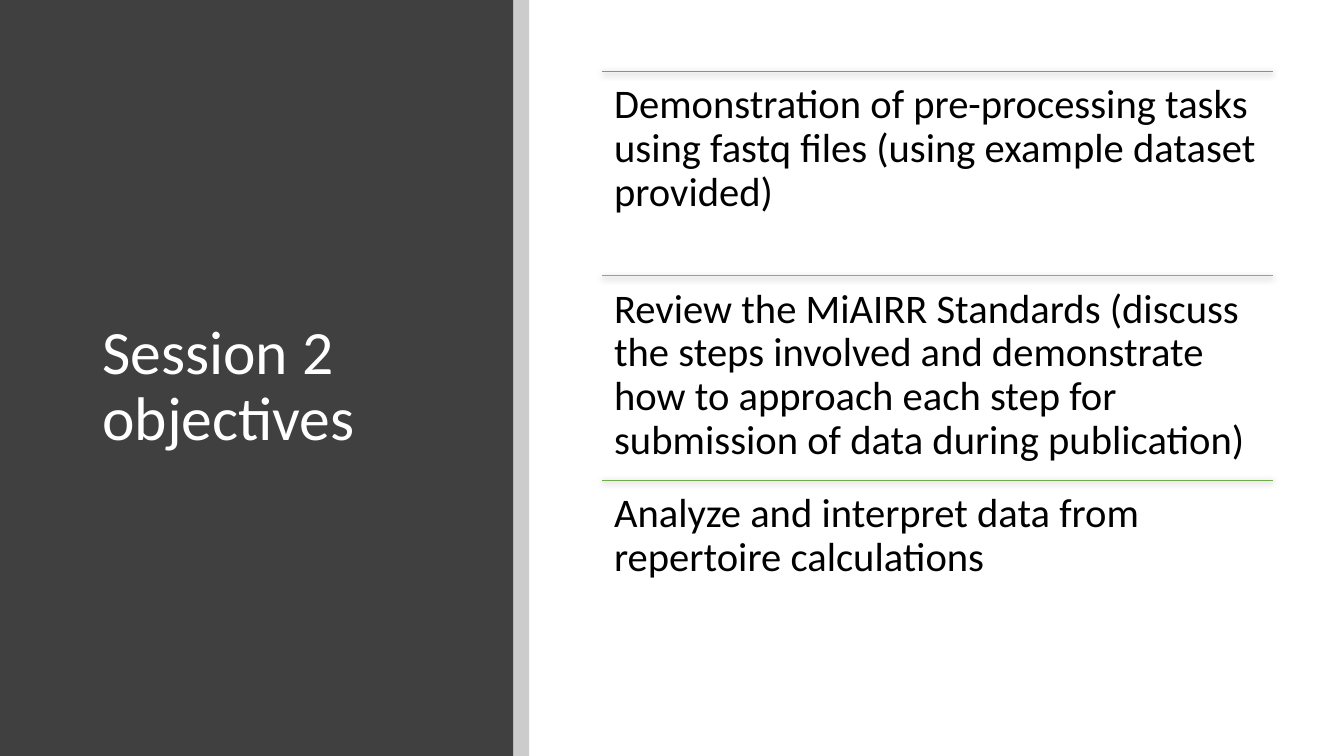
from dataclasses import dataclass

from lxml.etree import SubElement
from pptx import Presentation
from pptx.dml.color import RGBColor
from pptx.enum.shapes import MSO_CONNECTOR as Connector, MSO_SHAPE as Shape
from pptx.enum.text import MSO_ANCHOR as Anchor
from pptx.oxml.ns import qn
from pptx.util import Pt


@dataclass(frozen=True)
class Theme:
    """Colours, font and type sizes of the slide."""
    panel: str = "404040"
    black: str = "000000"
    white: str = "FFFFFF"
    font: str = "Calibri"
    title_size: int = 44
    objective_size: int = 29
    rule_width: float = 0.5


THEME = Theme()
SLIDE_WIDTH, SLIDE_HEIGHT = 960, 540
PANEL_WIDTH, STRIP_WIDTH = 366.5, 11.5
LIST_LEFT, LIST_TOP, LIST_WIDTH, ROW_HEIGHT = 430, 51, 479.5, 146
OBJECTIVES = [
    ("5B9BD5", "Demonstration of pre-processing tasks using fastq files "
               "(using example dataset provided)"),
    ("4DC58D", "Review the MiAIRR Standards (discuss the steps involved and "
               "demonstrate how to approach each step for submission of data "
               "during publication)"),
    ("70AD47", "Analyze and interpret data from repertoire calculations"),
]


def add_band(slide, left, width, color, opacity=100):
    """Add a full-height band without outline."""
    shape = slide.shapes.add_shape(
        Shape.RECTANGLE, Pt(left), Pt(0), Pt(width), Pt(SLIDE_HEIGHT))
    shape.shadow.inherit = False
    shape.fill.solid()
    shape.fill.fore_color.rgb = RGBColor.from_string(color)
    shape.line.fill.background()
    if opacity < 100:
        fill_color = shape.fill._xPr.find(f".//{qn('a:srgbClr')}")
        SubElement(fill_color, qn("a:alpha"), val=str(opacity * 1000))


def add_text(slide, box, text, size, color, insets, anchor=Anchor.TOP):
    """Add a wrapped text box with one paragraph."""
    shape = slide.shapes.add_textbox(*map(Pt, box))
    text_frame = shape.text_frame
    text_frame.word_wrap = True
    text_frame.vertical_anchor = anchor
    text_frame.margin_left = text_frame.margin_right = Pt(insets[0])
    text_frame.margin_top = text_frame.margin_bottom = Pt(insets[1])
    text_frame.text = text
    paragraph = text_frame.paragraphs[0]
    paragraph.line_spacing = 0.9
    font = paragraph.runs[0].font
    font.name = THEME.font
    font.size = Pt(size)
    font.color.rgb = RGBColor.from_string(color)


def add_rule(slide, top, color):
    """Add a thin horizontal rule with a soft shadow below."""
    rule = slide.shapes.add_connector(
        Connector.STRAIGHT, Pt(LIST_LEFT), Pt(top),
        Pt(LIST_LEFT + LIST_WIDTH), Pt(top))
    rule.line.color.rgb = RGBColor.from_string(color)
    rule.line.width = Pt(THEME.rule_width)
    effects = SubElement(rule._element.spPr, qn("a:effectLst"))
    shadow = SubElement(
        effects, qn("a:outerShdw"), blurRad=str(Pt(4.5)), dist=str(Pt(1.5)),
        dir="5400000", algn="ctr", rotWithShape="0")
    shadow_color = SubElement(shadow, qn("a:srgbClr"), val=THEME.black)
    SubElement(shadow_color, qn("a:alpha"), val="63000")


def add_objective(slide, top, color, text):
    """Add one objective under its rule."""
    add_rule(slide, top, color)
    add_text(slide, (LIST_LEFT, top, LIST_WIDTH, ROW_HEIGHT), text,
             THEME.objective_size, THEME.black, (8.7, 8.7))


def main():
    """Build the slide and save it."""
    presentation = Presentation()
    presentation.slide_width = Pt(SLIDE_WIDTH)
    presentation.slide_height = Pt(SLIDE_HEIGHT)
    slide = presentation.slides.add_slide(presentation.slide_layouts[6])
    add_band(slide, 0, PANEL_WIDTH, THEME.panel)
    add_band(slide, PANEL_WIDTH, STRIP_WIDTH, THEME.black, opacity=20)
    add_text(slide, (66, 64, 263, 425.5), "Session 2 objectives",
             THEME.title_size, THEME.white, (7.2, 3.6), Anchor.MIDDLE)
    for row, (color, text) in enumerate(OBJECTIVES):
        add_objective(slide, LIST_TOP + row * ROW_HEIGHT, color, text)
    presentation.save("out.pptx")


if __name__ == "__main__":
    main()
